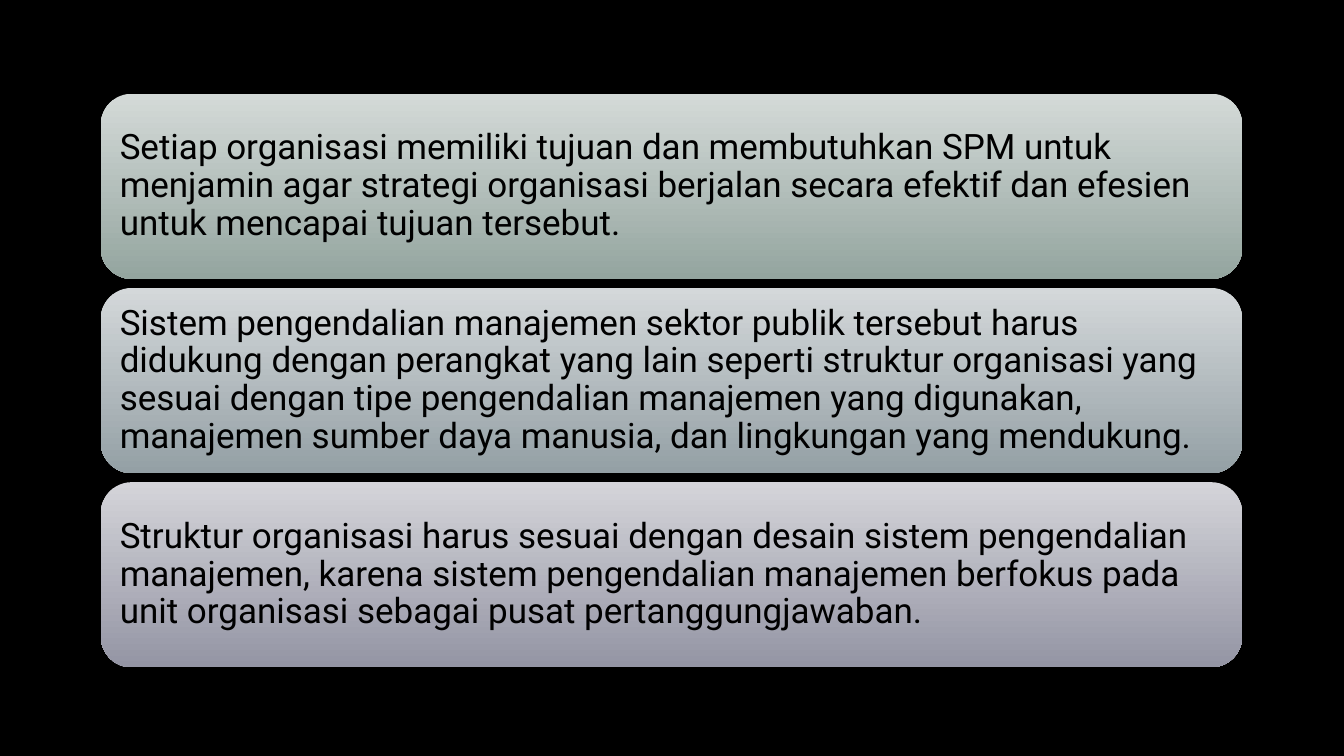
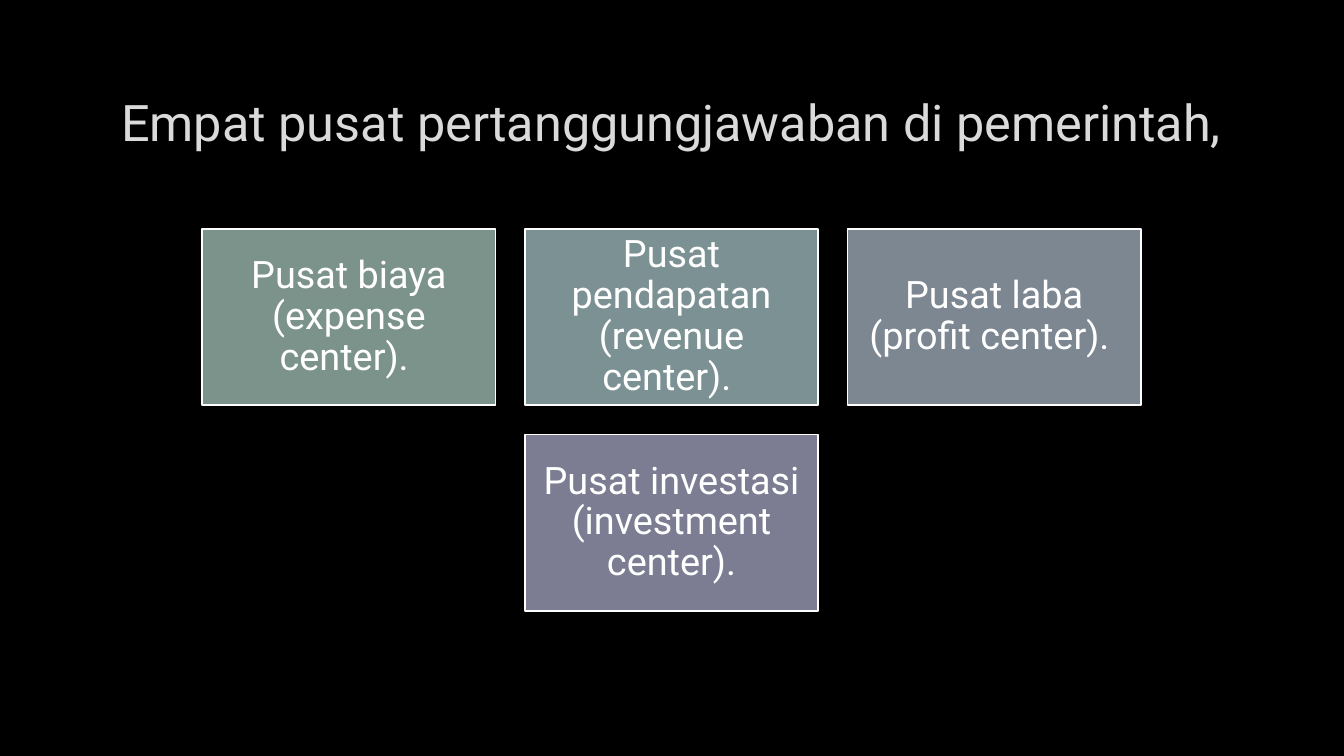
import pptx
import pptx.util
import pptx.dml.color
import pptx.enum.shapes
import pptx.enum.text

Inches = pptx.util.Inches
Pt = pptx.util.Pt
ALIGN = pptx.enum.text.PP_ALIGN
SHAPES = pptx.enum.shapes.MSO_SHAPE

FONT = "Roboto"
BLACK = "000000"
WHITE = "FFFFFF"
TITLE_COLOR = "DADADA"
CONTENT_LEFT = 1
CONTENT_WIDTH = 11.32

STATEMENTS = [
    ("Setiap organisasi memiliki tujuan dan membutuhkan SPM untuk menjamin agar "
     "strategi organisasi berjalan secara efektif dan efesien untuk mencapai "
     "tujuan tersebut.", "D4DAD8", "94A59F"),
    ("Sistem pengendalian manajemen sektor publik tersebut harus didukung dengan "
     "perangkat yang lain seperti struktur organisasi yang sesuai dengan tipe "
     "pengendalian manajemen yang digunakan, manajemen sumber daya manusia, dan "
     "lingkungan yang mendukung.", "D4D8DA", "94A0A5"),
    ("Struktur organisasi harus sesuai dengan desain sistem pengendalian "
     "manajemen, karena sistem pengendalian manajemen berfokus pada unit "
     "organisasi sebagai pusat pertanggungjawaban.", "D4D4D9", "9495A4"),
]

CENTERS = [
    ("Pusat biaya (expense center). ", "7C938B"),
    ("Pusat pendapatan (revenue center). ", "7C9193"),
    ("Pusat laba (profit center). ", "7C8792"),
    ("Pusat investasi (investment center).", "7C7D92"),
]


def rgb(value):
    return pptx.dml.color.RGBColor.from_string(value)


def write_text(shape, text, size, color, align=ALIGN.LEFT, spacing=1.0, inset=0.1):
    frame = shape.text_frame
    frame.word_wrap = True
    frame.vertical_anchor = pptx.enum.text.MSO_ANCHOR.MIDDLE
    frame.margin_left = frame.margin_right = Inches(inset)
    frame.margin_top = frame.margin_bottom = Inches(inset)
    paragraph = frame.paragraphs[0]
    paragraph.alignment = align
    paragraph.line_spacing = spacing
    run = paragraph.add_run()
    run.text = text
    run.font.name = FONT
    run.font.size = Pt(size)
    run.font.color.rgb = rgb(color)


def add_slide(presentation):
    slide = presentation.slides.add_slide(presentation.slide_layouts[6])
    fill = slide.background.fill
    fill.solid()
    fill.fore_color.rgb = rgb(BLACK)
    return slide


def add_title(slide, text, left, top, width, height):
    title = slide.shapes.add_textbox(
        Inches(left), Inches(top), Inches(width), Inches(height))
    write_text(title, text, 36, TITLE_COLOR, align=ALIGN.CENTER)


def add_panel(slide, kind, left, top, width, height):
    panel = slide.shapes.add_shape(
        kind, Inches(left), Inches(top), Inches(width), Inches(height))
    panel.shadow.inherit = False
    return panel


def add_statements(slide, statements, left, top, width, height, gap=0.09):
    panel_height = (height - gap * (len(statements) - 1)) / len(statements)
    for index, (text, top_color, bottom_color) in enumerate(statements):
        panel = add_panel(slide, SHAPES.ROUNDED_RECTANGLE, left,
                          top + index * (panel_height + gap), width, panel_height)
        panel.fill.gradient()
        panel.fill.gradient_angle = 270
        for stop, color in zip(panel.fill.gradient_stops, (top_color, bottom_color)):
            stop.color.rgb = rgb(color)
        panel.line.fill.background()
        write_text(panel, text, 25, BLACK, spacing=0.9)


def add_card_grid(slide, cards, left, top, width, columns=3,
                  card_width=2.91, card_height=1.75, gap=0.29):
    for index, (text, color) in enumerate(cards):
        row, column = divmod(index, columns)
        row_count = min(columns, len(cards) - row * columns)
        row_width = row_count * (card_width + gap) - gap
        row_left = left + (width - row_width) / 2
        card = add_panel(slide, SHAPES.RECTANGLE,
                         row_left + column * (card_width + gap),
                         top + row * (card_height + gap), card_width, card_height)
        card.fill.solid()
        card.fill.fore_color.rgb = rgb(color)
        card.line.color.rgb = rgb(WHITE)
        card.line.width = Pt(1.25)
        write_text(card, text, 27, WHITE, align=ALIGN.CENTER, spacing=0.9, inset=0.11)


def main():
    presentation = pptx.Presentation()
    presentation.slide_width = Inches(13.33)
    presentation.slide_height = Inches(7.5)

    statement_slide = add_slide(presentation)
    add_statements(statement_slide, STATEMENTS, CONTENT_LEFT, 0.93, CONTENT_WIDTH, 5.69)

    center_slide = add_slide(presentation)
    add_title(center_slide, "Empat pusat pertanggungjawaban di pemerintah,",
              CONTENT_LEFT, 0.67, CONTENT_WIDTH, 1.06)
    add_card_grid(center_slide, CENTERS, CONTENT_LEFT, 2.27, CONTENT_WIDTH)

    presentation.save("out.pptx")


if __name__ == "__main__":
    main()
